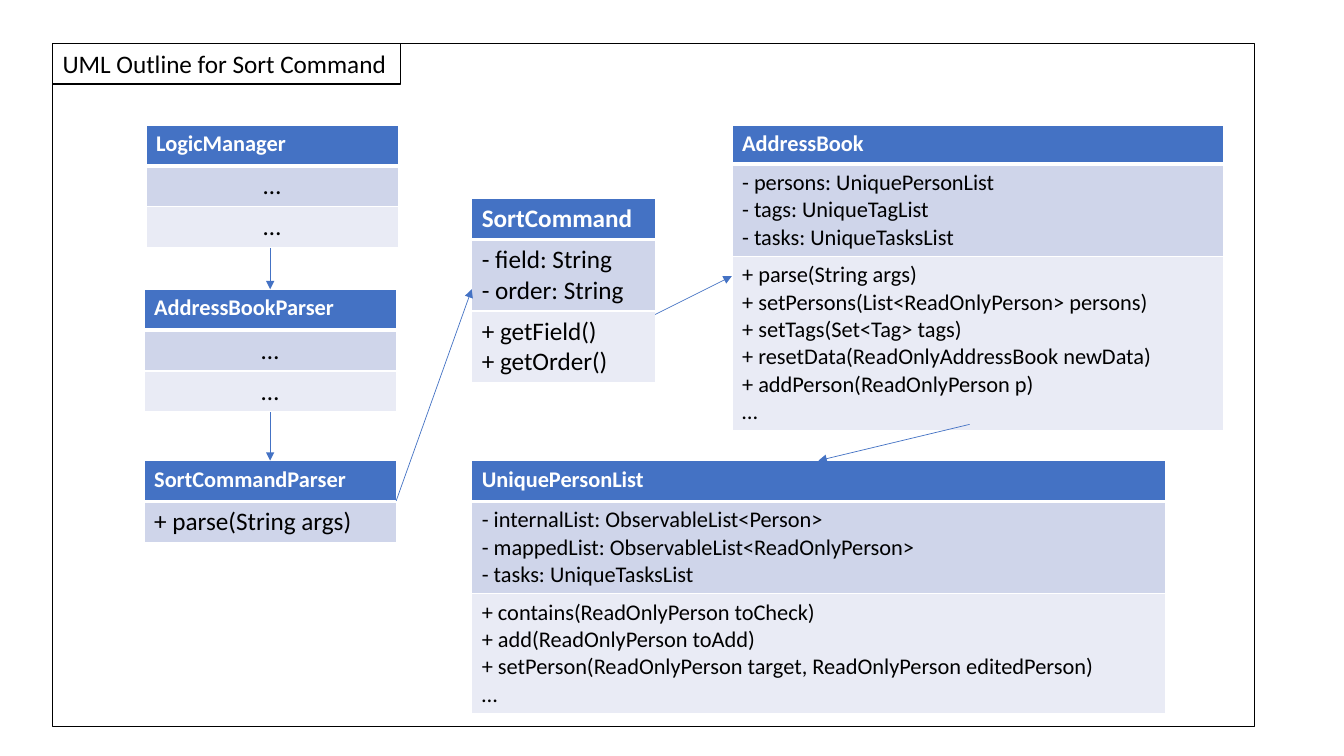
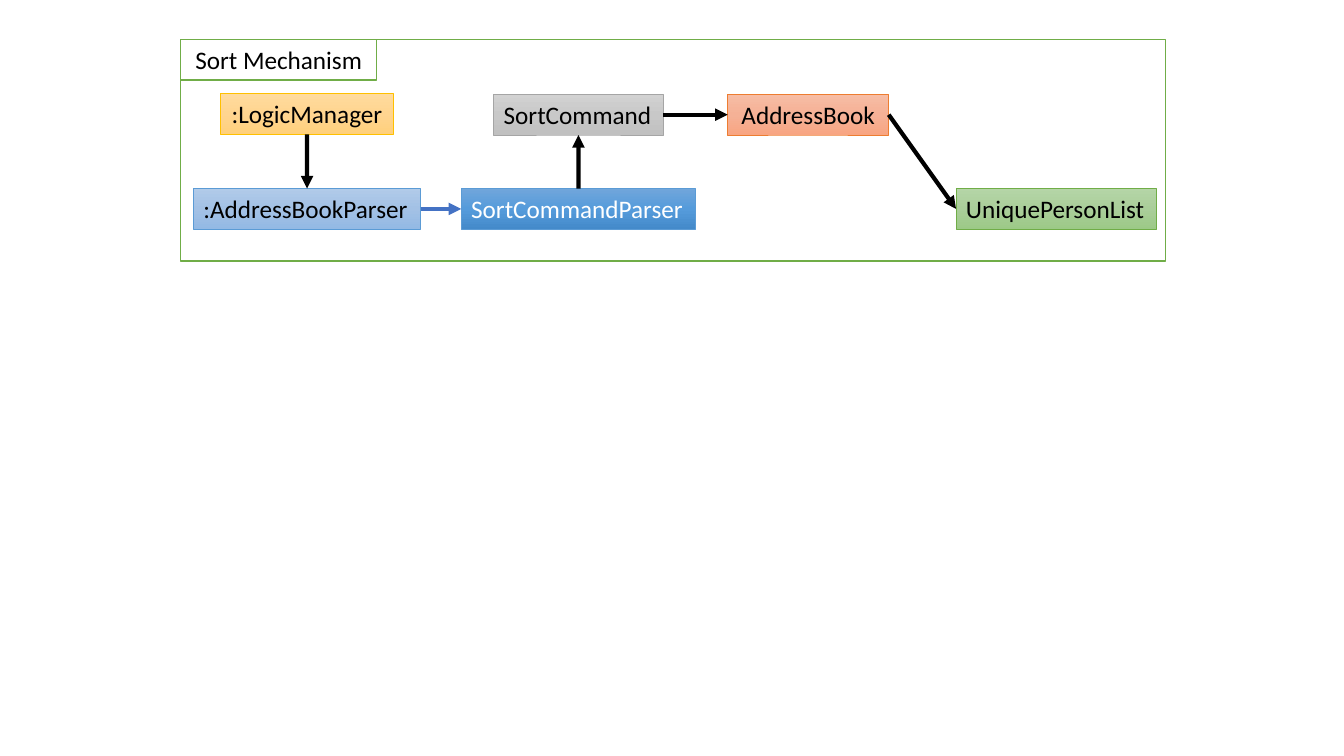
from copy import deepcopy
from lxml import etree
from pptx import Presentation
from pptx.dml.color import RGBColor
from pptx.enum import shapes, text
from pptx.oxml import ns
from pptx.util import Pt

FONT = "Calibri"
BLACK = RGBColor(0, 0, 0)
WHITE = RGBColor(255, 255, 255)
BLUE = RGBColor(0x44, 0x72, 0xC4)
GREEN = RGBColor(0x70, 0xAD, 0x47)
SKY = RGBColor(0x5B, 0x9B, 0xD5)
GOLD = RGBColor(0xFF, 0xC0, 0x00)
GREY = RGBColor(0xA5, 0xA5, 0xA5)
ORANGE = RGBColor(0xED, 0x7D, 0x31)
ROW_FILLS = (BLUE, RGBColor(0xCF, 0xD5, 0xEA), RGBColor(0xE9, 0xEB, 0xF5))
LABEL_HEIGHT = 29.08
ROW_HEIGHT = 29.2
LINE_FACTOR = 1.22
CELL_PADDING = 7.2
LEFT, CENTER, JUSTIFY = text.PP_ALIGN.LEFT, text.PP_ALIGN.CENTER, text.PP_ALIGN.JUSTIFY

CLASSES = [
    ("SortCommand", (336.96, 141.84, 131.04), ROW_HEIGHT, 18, 18, JUSTIFY,
     [["- field: String", "- order: String"], ["+ getField()", "+ getOrder()"]]),
    ("SortCommandParser", (102.96, 329.04, 180), ROW_HEIGHT, 16, 18, JUSTIFY,
     [["+ parse(String args)"]]),
    ("AddressBook", (522.9, 89.28, 351), 28, 16, 16, JUSTIFY,
     [["- persons: UniquePersonList", "- tags: UniqueTagList", "- tasks: UniqueTasksList"],
      ["+ parse(String args)", "+ setPersons(List<ReadOnlyPerson> persons)",
       "+ setTags(Set<Tag> tags)", "+ resetData(ReadOnlyAddressBook newData)",
       "+ addPerson(ReadOnlyPerson p)", "…"]]),
    ("UniquePersonList", (336.96, 329.04, 496), ROW_HEIGHT, 16, 16, JUSTIFY,
     [["- internalList: ObservableList<Person>",
       "- mappedList: ObservableList<ReadOnlyPerson>", "- tasks: UniqueTasksList"],
      ["+ contains(ReadOnlyPerson toCheck)", "+ add(ReadOnlyPerson toAdd)",
       "+ setPerson(ReadOnlyPerson target, ReadOnlyPerson editedPerson)", "…"]]),
    ("AddressBookParser", (102.96, 206.64, 180), ROW_HEIGHT, 16, 18, CENTER, [["…"], ["…"]]),
    ("LogicManager", (104.4, 89.28, 180), ROW_HEIGHT, 16, 18, CENTER, [["…"], ["…"]]),
]
CLASS_ARROWS = [
    ((193, 177), (193, 206.64)),
    ((193, 294.48), (193, 329.04)),
    ((282.96, 357.84), (336.96, 206.64)),
    ((468, 224.64), (522.72, 197.28)),
    ((692.64, 303.12), (584.64, 329.04)),
]

UPPER, LOWER = 67.4, 134.7
STEPS = [
    (":LogicManager", 157.7, 66.9, 123.2, CENTER, BLACK, GOLD, ("FFDB9E", "FFD590", "FFD07C")),
    (":AddressBookParser", 138.2, LOWER, 162.3, LEFT, BLACK, SKY, ("B1CBE9", "A3C1E5", "93B9E4")),
    ("SortCommand", 352.7, UPPER, 121, LEFT, BLACK, GREY, ("D2D2D2", "C8C8C8", "C0C0C0")),
    ("UniquePersonList", 682.9, LOWER, 143.1, LEFT, BLACK, GREEN, ("B5D5A7", "AACE9A", "9CC987")),
    ("AddressBook", 519.8, UPPER, 115, CENTER, BLACK, ORANGE, ("F7BDA5", "F5B196", "F8A582")),
    ("SortCommandParser", 329.5, LOWER, 167.3, LEFT, WHITE, SKY, ("71A6DB", "559BDB", "448ACA")),
]
TOP_SITE, LEFT_SITE, BOTTOM_SITE, RIGHT_SITE = range(4)
STEP_ARROWS = [
    (":LogicManager", BOTTOM_SITE, ":AddressBookParser", TOP_SITE, BLACK),
    ("SortCommand", RIGHT_SITE, "AddressBook", LEFT_SITE, BLACK),
    ("AddressBook", RIGHT_SITE, "UniquePersonList", LEFT_SITE, BLACK),
    (":AddressBookParser", RIGHT_SITE, "SortCommandParser", LEFT_SITE, BLUE),
    ("SortCommandParser", TOP_SITE, "SortCommand", BOTTOM_SITE, BLACK),
]


def write(frame, lines, size=18, color=BLACK, bold=False, align=LEFT):
    for index, line in enumerate(lines):
        paragraph = frame.paragraphs[0] if index == 0 else frame.add_paragraph()
        paragraph.alignment = align
        paragraph.line_spacing = 1.0
        run = paragraph.add_run()
        run.text = line
        run.font.name = FONT
        run.font.size = Pt(size)
        run.font.bold = bold
        run.font.color.rgb = color


def write_label(shape, label, **style):
    frame = shape.text_frame
    frame.word_wrap = False
    frame.auto_size = text.MSO_AUTO_SIZE.NONE
    frame.vertical_anchor = text.MSO_ANCHOR.TOP
    write(frame, [label], **style)


def outline(shape, color, width=0.75):
    shape.line.color.rgb = color
    shape.line.width = Pt(width)


def add_box(slide, left, top, width, height, color, line_width=0.75):
    shape = slide.shapes.add_shape(
        shapes.MSO_SHAPE.RECTANGLE, Pt(left), Pt(top), Pt(width), Pt(height))
    shape.shadow.inherit = False
    shape.fill.background()
    outline(shape, color, line_width)
    return shape


def add_framed_slide(title, box, title_width, color, **style):
    slide = presentation.slides.add_slide(presentation.slide_layouts[5])
    add_box(slide, *box, color)
    heading = slide.shapes.title
    heading.left, heading.top = Pt(box[0]), Pt(box[1])
    heading.width, heading.height = Pt(title_width), Pt(LABEL_HEIGHT)
    heading.fill.background()
    outline(heading, color)
    write_label(heading, title, **style)
    return slide


def add_arrow(slide, start, end, color, width):
    arrow = slide.shapes.add_connector(
        shapes.MSO_CONNECTOR.STRAIGHT, *(Pt(value) for value in (*start, *end)))
    outline(arrow, color, width)
    properties = arrow.element.spPr
    etree.SubElement(properties.find(ns.qn("a:ln")), ns.qn("a:tailEnd"), type="triangle")
    etree.SubElement(properties, ns.qn("a:effectLst"))
    return arrow


def add_borders(cell, row):
    properties = cell._tc.get_or_add_tcPr()
    widths = {"L": 1, "R": 1, "T": 3 if row == 1 else 1, "B": 3 if row == 0 else 1}
    for side, width in widths.items():
        border = etree.SubElement(properties, ns.qn(f"a:ln{side}"), w=str(Pt(width)))
        fill = etree.SubElement(border, ns.qn("a:solidFill"))
        etree.SubElement(fill, ns.qn("a:srgbClr"), val=str(WHITE))


def add_class(slide, name, place, name_height, name_size, size, align, sections):
    rows = [[name], *sections]
    heights = [name_height] + [
        max(ROW_HEIGHT, len(lines) * size * LINE_FACTOR + CELL_PADDING) for lines in sections]
    left, top, width = place
    table = slide.shapes.add_table(
        len(rows), 1, Pt(left), Pt(top), Pt(width), Pt(sum(heights))).table
    for row, lines in enumerate(rows):
        table.rows[row].height = Pt(heights[row])
        cell = table.cell(row, 0)
        add_borders(cell, row)
        cell.fill.solid()
        cell.fill.fore_color.rgb = ROW_FILLS[row]
        if row == 0:
            write(cell.text_frame, lines, size=name_size, color=WHITE, bold=True, align=JUSTIFY)
        else:
            write(cell.text_frame, lines, size=size, align=align)


def fill_gradient(shape, colors):
    shape.fill.gradient()
    shape.fill.gradient_angle = 270
    stop_list = shape.element.spPr.find(".//" + ns.qn("a:gsLst"))
    stop_list.insert(1, deepcopy(stop_list[0]))
    for index, stop in enumerate(shape.fill.gradient_stops):
        stop.position = index / 2
        stop.color.rgb = RGBColor.from_string(colors[index])


def add_step(slide, name, left, top, width, align, color, line_color, gradient):
    shape = add_box(slide, left, top, width, LABEL_HEIGHT, line_color, 0.5)
    fill_gradient(shape, gradient)
    write_label(shape, name, color=color, align=align)
    return shape


presentation = Presentation()
presentation.slide_width, presentation.slide_height = Pt(960), Pt(540)

outline_slide = add_framed_slide(
    "UML Outline for Sort Command", (37.44, 30.96, 858.96, 488.16), 248.4, BLACK)
for entry in CLASSES:
    add_class(outline_slide, *entry)
for start, end in CLASS_ARROWS:
    add_arrow(outline_slide, start, end, BLUE, 0.5)

mechanism_slide = add_framed_slide(
    "Sort Mechanism", (128.88, 28.08, 703.44, 158.4), 140.4, GREEN, align=CENTER)
steps = {entry[0]: add_step(mechanism_slide, *entry) for entry in STEPS}
for source, source_site, target, target_site, color in STEP_ARROWS:
    arrow = add_arrow(mechanism_slide, (0, 0), (0, 0), color, 3)
    arrow.begin_connect(steps[source], source_site)
    arrow.end_connect(steps[target], target_site)

presentation.save("out.pptx")
